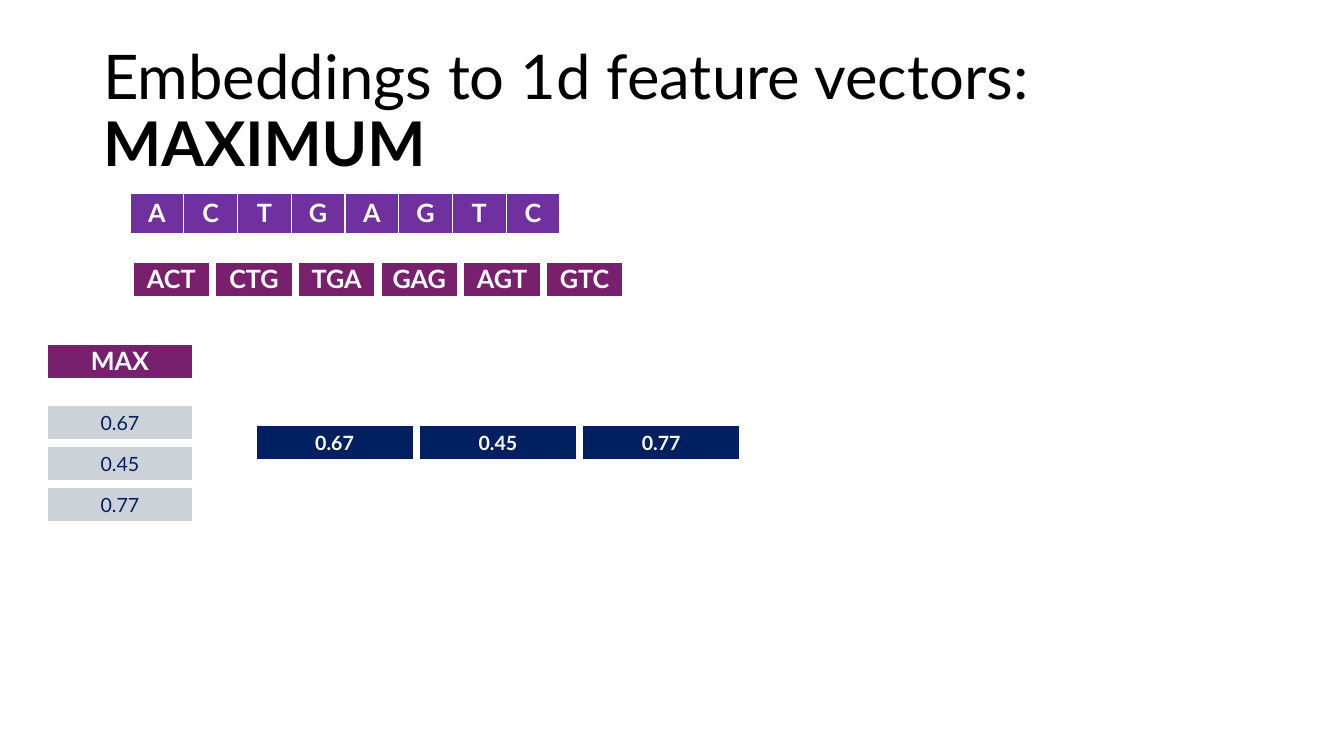
from lxml import etree
from pptx import Presentation
from pptx.dml.color import RGBColor
from pptx.enum.text import MSO_ANCHOR, MSO_AUTO_SIZE, PP_ALIGN
from pptx.oxml.ns import qn
from pptx.util import Pt

EMU_PER_PX = 914400 / 100.8
COLORS = {
    "black": "000000",
    "white": "FFFFFF",
    "violet": "7030A0",
    "plum": "78206E",
    "navy": "002060",
    "grey": "CCD2D8",
}
MAXIMA = ["0.67", "0.45", "0.77"]


def px(length):
    return round(length * EMU_PER_PX)


def rgb(name):
    return RGBColor.from_string(COLORS[name])


def add_text(paragraph, text, size=18, color="white", bold=False, font="Lato"):
    run = paragraph.add_run()
    run.text = text
    run.font.name = font
    run.font.size = Pt(size)
    run.font.bold = bold
    run.font.color.rgb = rgb(color)


def set_borders(cell, color, width):
    """Put the same solid line on all four sides; call before filling the cell."""
    properties = cell._tc.get_or_add_tcPr()
    for side in ("lnL", "lnR", "lnT", "lnB"):
        line = etree.SubElement(properties, qn(f"a:{side}"), w=str(Pt(width)))
        fill = etree.SubElement(line, qn("a:solidFill"))
        etree.SubElement(fill, qn("a:srgbClr"), val=COLORS[color])


class SlideBuilder:
    def __init__(self, presentation):
        self.slide = presentation.slides.add_slide(presentation.slide_layouts[5])

    def title(self, plain, strong, left, top, width, height):
        shape = self.slide.shapes.title
        shape.left, shape.top = px(left), px(top)
        shape.width, shape.height = px(width), px(height)
        frame = shape.text_frame
        frame.auto_size = MSO_AUTO_SIZE.NONE
        frame.vertical_anchor = MSO_ANCHOR.MIDDLE
        paragraph = frame.paragraphs[0]
        paragraph.alignment = PP_ALIGN.LEFT
        paragraph.line_spacing = 0.9
        add_text(paragraph, plain, size=44, color="black")
        add_text(paragraph, strong, size=44, color="black", bold=True)

    def table(self, rows, left, top, width, row_height, fill,
              border=6, tight=False, **text_format):
        frame = self.slide.shapes.add_table(
            len(rows), len(rows[0]), px(left), px(top),
            px(width), px(row_height * len(rows)))
        table = frame.table
        table.first_row = table.horz_banding = False
        for row_index, texts in enumerate(rows):
            for column_index, text in enumerate(texts):
                cell = table.cell(row_index, column_index)
                self.cell(cell, text, fill, border, tight, text_format)

    def cell(self, cell, text, fill, border, tight, text_format):
        set_borders(cell, "white", border)
        cell.fill.solid()
        cell.fill.fore_color.rgb = rgb(fill)
        cell.vertical_anchor = MSO_ANCHOR.MIDDLE
        if tight:
            cell.margin_left = cell.margin_right = cell.margin_top = px(1)
            cell.margin_bottom = 0
        paragraph = cell.text_frame.paragraphs[0]
        paragraph.alignment = PP_ALIGN.CENTER
        add_text(paragraph, text, **text_format)


def main():
    presentation = Presentation()
    presentation.slide_width, presentation.slide_height = px(1344), px(756)
    builder = SlideBuilder(presentation)

    builder.title("Embeddings to 1d feature vectors: ", "MAXIMUM", 93, 40, 1159, 146)

    sequence = "ACTGAGTC"
    kmers = [sequence[start:start + 3] for start in range(len(sequence) - 2)]
    builder.table([list(sequence)], 130, 193, 430, 40, "violet", border=1, bold=True)
    builder.table([["MAX"]], 44, 341, 152, 40, "plum", bold=True)
    builder.table([[value] for value in MAXIMA], 44, 402, 152, 41, "grey",
                  tight=True, size=14, color="navy")
    builder.table([MAXIMA], 253, 422, 490, 41, "navy", tight=True, size=14, bold=True)
    builder.table([kmers], 130, 259, 496, 40, "plum", bold=True)

    presentation.save("out.pptx")


if __name__ == "__main__":
    main()
